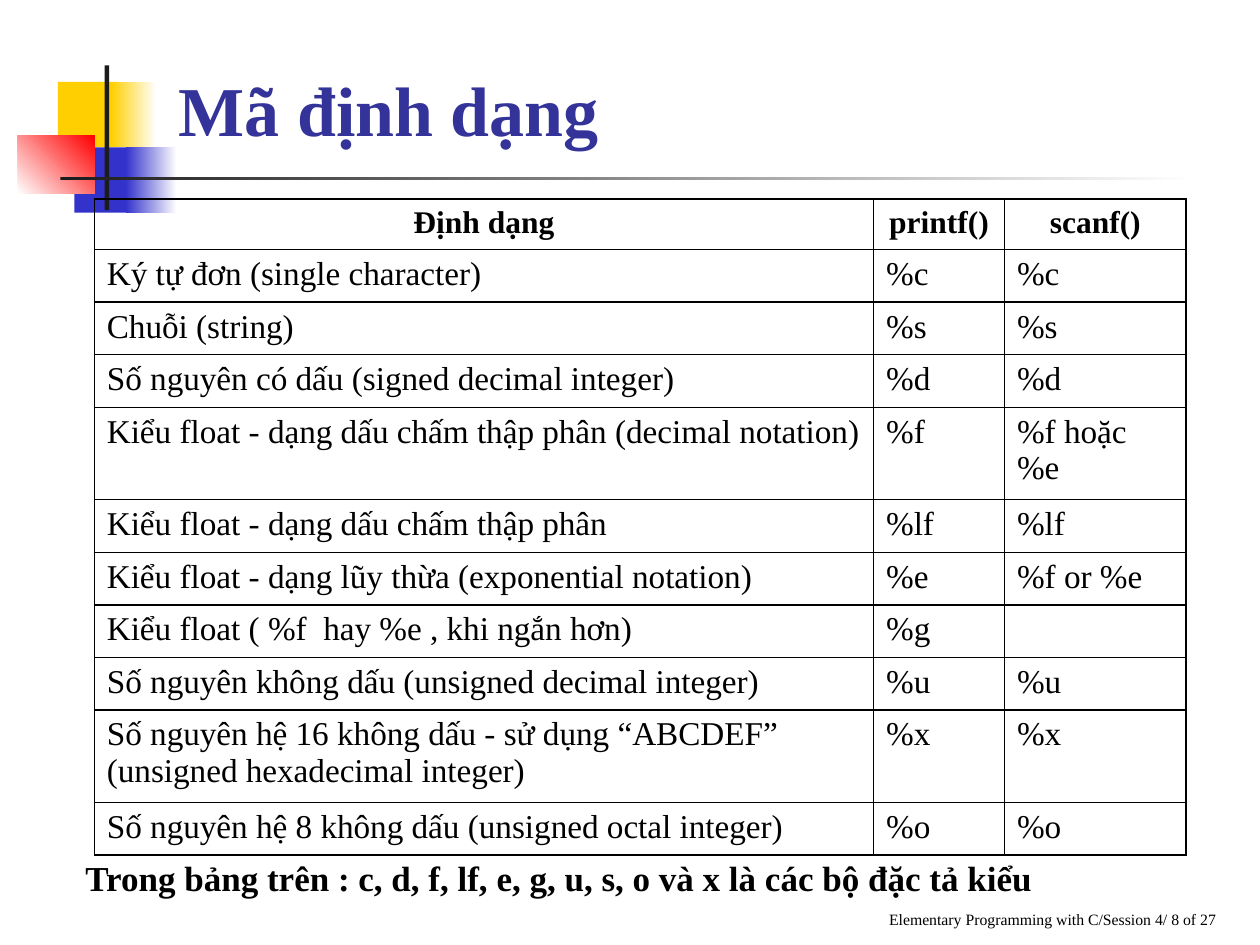
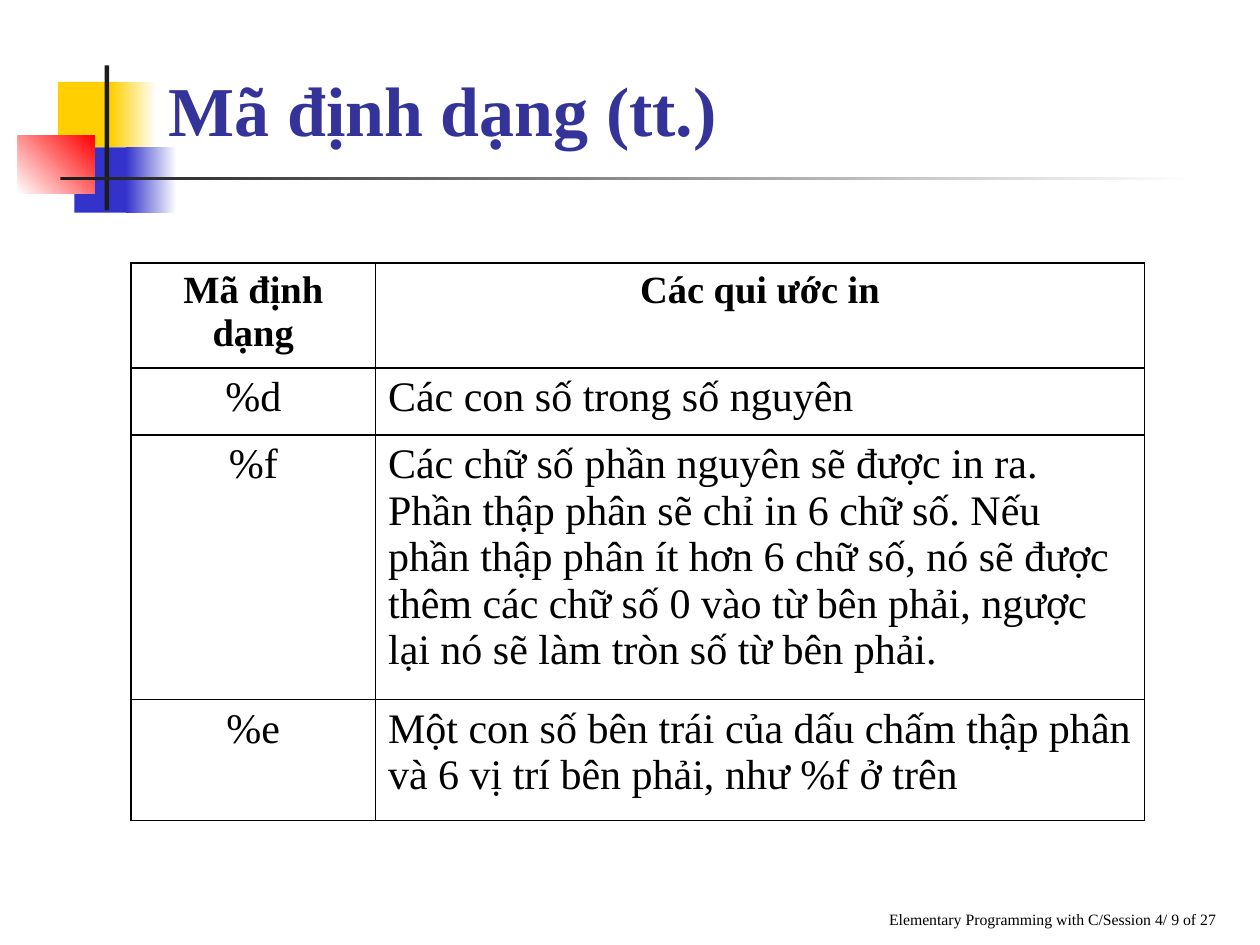
from dataclasses import dataclass
from typing import NamedTuple

from lxml.etree import SubElement
from pptx import Presentation
from pptx.dml.color import RGBColor
from pptx.enum.shapes import MSO_SHAPE
from pptx.enum.text import MSO_ANCHOR, MSO_AUTO_SIZE, PP_ALIGN
from pptx.oxml.ns import qn
from pptx.util import Cm, Pt

FONT = "Times New Roman"
INK = {
    "gold": "FFCF01",
    "blue": "3333CC",
    "red": "FF0000",
    "dark": "1C1C1C",
    "white": "FFFFFF",
    "title": "333399",
    "text": "000000",
}


class Box(NamedTuple):
    left: float
    top: float
    width: float
    height: float

    def lengths(self) -> list:
        return [Cm(side) for side in self]


@dataclass
class Block:
    box: Box
    start: str
    end: str = ""
    angle: int = 0


@dataclass
class Grid:
    left: float
    top: float
    widths: list
    heights: list
    cells: list
    head: int
    body: int
    middle: tuple = ()


BLOCKS = [
    Block(Box(1.17, 1.65, 1.22, 1.32), "gold"),
    Block(Box(2.24, 1.65, 0.91, 1.32), "gold", "white"),
    Block(Box(1.5, 2.97, 1.17, 1.32), "blue"),
    Block(Box(2.54, 2.97, 1.02, 1.32), "blue", "white"),
    Block(Box(0.36, 2.74, 1.55, 1.17), "white", "red", 45),
    Block(Box(2.11, 1.32, 0.09, 2.92), "dark"),
    Block(Box(1.22, 3.56, 22.86, 0.08), "dark", "white"),
]
FOOTER = Box(9.32, 17.58, 15.44, 1.27)
NOTE = Box(1.47, 17.15, 22.66, 1.09)

CODES = Grid(
    1.9, 4.01, [15.71, 2.64, 3.66],
    [1.02] + [1.06] * 3 + [1.86] + [1.06] * 4 + [1.86, 1.06],
    [
        ("Định dạng", "printf()", "scanf()"),
        ("Ký tự đơn (single character)", "%c", "%c"),
        ("Chuỗi (string)", "%s", "%s"),
        ("Số nguyên có dấu (signed decimal integer)", "%d", "%d"),
        ("Kiểu float - dạng dấu chấm thập phân (decimal notation)", "%f", "%f hoặc %e"),
        ("Kiểu float - dạng dấu chấm thập phân", "%lf", "%lf"),
        ("Kiểu float - dạng lũy thừa (exponential notation)", "%e", "%f or %e"),
        ("Kiểu float ( %f  hay %e , khi ngắn hơn)", "%g", ""),
        ("Số nguyên không dấu (unsigned decimal integer)", "%u", "%u"),
        ("Số nguyên hệ 16 không dấu - sử dụng “ABCDEF” (unsigned hexadecimal integer)", "%x", "%x"),
        ("Số nguyên hệ 8 không dấu (unsigned octal integer)", "%o", "%o"),
    ],
    head=18, body=19,
)
RULES = Grid(
    2.64, 5.3, [4.93, 15.5], [2.12, 1.35, 5.32, 2.44],
    [
        ("Mã định dạng", "Các qui ước in"),
        ("%d", "Các con số trong số nguyên"),
        ("%f", "Các chữ số phần nguyên sẽ được in ra. Phần thập phân sẽ chỉ in 6 chữ số. "
               "Nếu phần thập phân ít hơn 6 chữ số, nó sẽ được thêm các chữ số 0 vào từ "
               "bên phải, ngược lại nó sẽ làm tròn số từ bên phải."),
        ("%e", "Một con số bên trái của dấu chấm thập phân và 6 vị trí bên phải, như %f ở trên"),
    ],
    head=22, body=24, middle=(0,),
)


def color(name: str) -> RGBColor:
    return RGBColor.from_string(INK[name])


def write(frame, text: str, *, size: int, ink: str = "text", bold: bool = False,
          align=PP_ALIGN.LEFT, anchor=MSO_ANCHOR.TOP) -> None:
    frame.word_wrap = True
    frame.vertical_anchor = anchor
    line = frame.paragraphs[0]
    line.alignment = align
    run = line.add_run()
    run.text = text
    run.font.name = FONT
    run.font.size = Pt(size)
    run.font.bold = bold
    run.font.color.rgb = color(ink)


def draw_block(slide, block: Block):
    shape = slide.shapes.add_shape(MSO_SHAPE.RECTANGLE, *block.box.lengths())
    shape.shadow.inherit = False
    shape.line.fill.background()
    if block.end:
        shape.fill.gradient()
        shape.fill.gradient_angle = block.angle
        for stop, name in zip(shape.fill.gradient_stops, (block.start, block.end)):
            stop.color.rgb = color(name)
    else:
        shape.fill.solid()
        shape.fill.fore_color.rgb = color(block.start)
    return shape


def brand(deck, layout) -> None:
    slide = deck.slides[0]
    for block in BLOCKS:
        layout.shapes.element.append(draw_block(slide, block).element)


def draw_text(slide, box: Box, text: str, **style) -> None:
    write(slide.shapes.add_textbox(*box.lengths()).text_frame, text, **style)


def add_edges(frame) -> None:
    for props in frame.element.iter(qn("a:tcPr")):
        for place, side in enumerate(("lnL", "lnR", "lnT", "lnB")):
            edge = SubElement(props, qn(f"a:{side}"), w=str(Pt(1)))
            fill = SubElement(edge, qn("a:solidFill"))
            SubElement(fill, qn("a:srgbClr"), val=INK["text"])
            props.insert(place, edge)


def draw_grid(slide, grid: Grid) -> None:
    box = Box(grid.left, grid.top, sum(grid.widths), sum(grid.heights))
    frame = slide.shapes.add_table(len(grid.heights), len(grid.widths), *box.lengths())
    table = frame.table
    table.first_row = table.horz_banding = False
    for column, width in zip(table.columns, grid.widths):
        column.width = Cm(width)
    for row, height in zip(table.rows, grid.heights):
        row.height = Cm(height)
    for r, texts in enumerate(grid.cells):
        for c, text in enumerate(texts):
            cell = table.cell(r, c)
            cell.fill.background()
            centred = r == 0 or c in grid.middle
            write(cell.text_frame, text, size=grid.body if r else grid.head, bold=r == 0,
                  align=PP_ALIGN.CENTER if centred else PP_ALIGN.LEFT)
    add_edges(frame)


def add_page(deck, layout, number: int, text: str, box: Box, grid: Grid):
    slide = deck.slides.add_slide(layout)
    title = slide.shapes.title
    title.left, title.top, title.width, title.height = box.lengths()
    title.text_frame.auto_size = MSO_AUTO_SIZE.NONE
    write(title.text_frame, text, size=40, ink="title", bold=True, anchor=MSO_ANCHOR.BOTTOM)
    draw_text(slide, FOOTER, f"Elementary Programming with C/Session 4/ {number} of 27",
              size=9, align=PP_ALIGN.RIGHT, anchor=MSO_ANCHOR.BOTTOM)
    draw_grid(slide, grid)
    return slide


def main() -> None:
    deck = Presentation()
    deck.slide_width, deck.slide_height = Cm(25.4), Cm(19.05)
    layout = deck.slide_layouts[5]
    first = add_page(deck, layout, 8, "Mã định dạng", Box(3.35, 1.09, 14.86, 2.08), CODES)
    draw_text(first, NOTE, "Trong bảng trên : c, d, f, lf, e, g, u, s, o và x là các bộ đặc tả kiểu",
              size=20, bold=True)
    add_page(deck, layout, 9, "Mã định dạng (tt.)", Box(3.15, 1.09, 18.44, 2.08), RULES)
    brand(deck, layout)
    deck.save("out.pptx")


if __name__ == "__main__":
    main()
